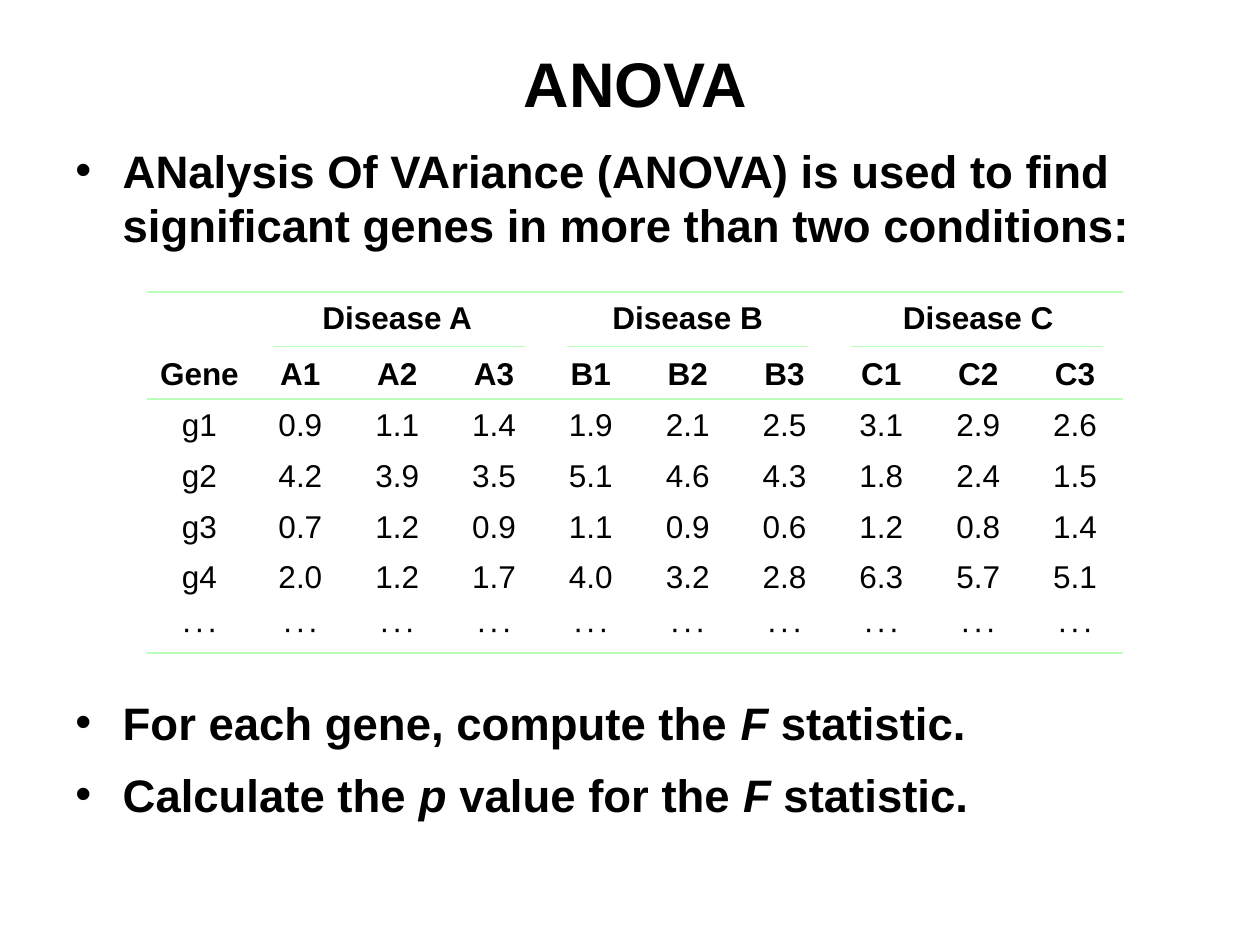
from itertools import product

from lxml.etree import SubElement
from pptx import Presentation
from pptx.dml.color import RGBColor
from pptx.enum.shapes import MSO_CONNECTOR
from pptx.enum.text import MSO_ANCHOR, PP_ALIGN
from pptx.oxml.ns import qn
from pptx.util import Pt

COLORS = {"text": "000000", "rule": "B9FFB9"}
PLAIN_TABLE = "{2D5ABB26-0587-4C30-8999-92F81FD0307C}"
CONDITIONS = "ABC"
REPLICATES = 3
DOTS = "∙ ∙ ∙"
EXPRESSION = {
    "g1": "0.9 1.1 1.4 1.9 2.1 2.5 3.1 2.9 2.6",
    "g2": "4.2 3.9 3.5 5.1 4.6 4.3 1.8 2.4 1.5",
    "g3": "0.7 1.2 0.9 1.1 0.9 0.6 1.2 0.8 1.4",
    "g4": "2.0 1.2 1.7 4.0 3.2 2.8 6.3 5.7 5.1",
}
LEFT, RIGHT = 84, 642
GENE_WIDTH = 60
ROW_HEIGHTS = [29, 31.5, 29.5, 29, 29, 29, 29]


class SlideWriter:
    font_name = "Arial"

    def __init__(self, slide):
        self.slide = slide

    def style(self, run, size, bold=True, italic=False):
        font = run.font
        font.name, font.size = self.font_name, Pt(size)
        font.bold, font.italic = bold, italic
        font.color.rgb = RGBColor.from_string(COLORS["text"])

    def text_frame(self, left, top, width, height):
        box = self.slide.shapes.add_textbox(Pt(left), Pt(top), Pt(width), Pt(height))
        box.text_frame.word_wrap = True
        return box.text_frame

    def title(self, text, *place):
        frame = self.text_frame(*place)
        frame.vertical_anchor = MSO_ANCHOR.BOTTOM
        frame.text = text
        heading = frame.paragraphs[0]
        heading.alignment = PP_ALIGN.CENTER
        self.style(heading.runs[0], 36)

    def bullets(self, items, *place):
        """Items are (space before, text); words between asterisks are italic."""
        frame = self.text_frame(*place)
        for index, (space_before, text) in enumerate(items):
            paragraph = frame.add_paragraph() if index else frame.paragraphs[0]
            paragraph.space_before = Pt(space_before)
            for part, words in enumerate(text.split("*")):
                run = paragraph.add_run()
                run.text = words
                self.style(run, 26, italic=part % 2 == 1)
            properties = paragraph._p.get_or_add_pPr()
            properties.set("marL", str(Pt(27)))
            properties.set("indent", str(Pt(-27)))
            SubElement(properties, qn("a:buFont"), typeface=self.font_name)
            SubElement(properties, qn("a:buChar"), char="•")

    def table(self, left, top, widths, heights):
        frame = self.slide.shapes.add_table(
            len(heights), len(widths), Pt(left), Pt(top), Pt(sum(widths)), Pt(sum(heights)))
        table = frame.table
        table.first_row = table.horz_banding = False
        table._tbl.tblPr.find(qn("a:tableStyleId")).text = PLAIN_TABLE
        for column, width in zip(table.columns, widths):
            column.width = Pt(width)
        for row, height in zip(table.rows, heights):
            row.height = Pt(height)
        return table

    def cell(self, cell, text, bold=False):
        cell.vertical_anchor = MSO_ANCHOR.BOTTOM
        paragraph = cell.text_frame.paragraphs[0]
        paragraph.alignment = PP_ALIGN.CENTER
        paragraph.space_before = Pt(4.5)
        for piece in text if text == DOTS else [text]:
            run = paragraph.add_run()
            run.text = piece
            self.style(run, 8 if piece == " " else 18, bold)

    def border(self, cell, side):
        """Draw one cell edge; side is lnT or lnB."""
        properties = cell._tc.get_or_add_tcPr()
        edge = SubElement(properties, qn(f"a:{side}"), w=str(Pt(1.08)))
        fill = SubElement(edge, qn("a:solidFill"))
        SubElement(fill, qn("a:srgbClr"), val=COLORS["rule"])

    def rule(self, start, end, y):
        line = self.slide.shapes.add_connector(
            MSO_CONNECTOR.STRAIGHT, Pt(start), Pt(y), Pt(end), Pt(y))
        line.line.color.rgb = RGBColor.from_string(COLORS["rule"])
        line.line.width = Pt(1)
        SubElement(line._element.spPr, qn("a:effectLst"))


def add_expression_table(writer):
    samples = [f"{c}{n + 1}" for c, n in product(CONDITIONS, range(REPLICATES))]
    sample_width = (RIGHT - LEFT - GENE_WIDTH) / len(samples)
    table = writer.table(
        LEFT, 167, [GENE_WIDTH] + [sample_width] * len(samples), ROW_HEIGHTS)

    table.cell(0, 0).merge(table.cell(1, 0))
    writer.cell(table.cell(0, 0), "Gene", bold=True)
    for group, condition in enumerate(CONDITIONS):
        first = 1 + group * REPLICATES
        table.cell(0, first).merge(table.cell(0, first + REPLICATES - 1))
        writer.cell(table.cell(0, first), f"Disease {condition}", bold=True)
    for column, sample in enumerate(samples, 1):
        writer.cell(table.cell(1, column), sample, bold=True)

    rows = [[gene, *values.split()] for gene, values in EXPRESSION.items()]
    rows.append([DOTS] * (len(samples) + 1))
    for row, values in enumerate(rows, 2):
        for column, value in enumerate(values):
            writer.cell(table.cell(row, column), value)
    for column in range(len(samples) + 1):
        writer.border(table.cell(0, column), "lnT")
        writer.border(table.cell(len(ROW_HEIGHTS) - 1, column), "lnB")


def main():
    deck = Presentation()
    deck.slide_width, deck.slide_height = Pt(720), Pt(540)
    writer = SlideWriter(deck.slides.add_slide(deck.slide_layouts[6]))
    writer.title("ANOVA", 30, 24, 666, 48)
    writer.bullets([
        (6.5, "ANalysis Of VAriance (ANOVA) is used to find "
              "significant genes in more than two conditions:"),
        (253, "For each gene, compute the *F* statistic."),
        (10, "Calculate the *p* value for the *F* statistic."),
    ], 36, 78, 660, 432)
    add_expression_table(writer)
    writer.rule(LEFT, RIGHT, 228)
    for start, end in [(156, 300), (324, 462), (486, 630)]:
        writer.rule(start, end, 198)
    deck.save("out.pptx")


if __name__ == "__main__":
    main()
